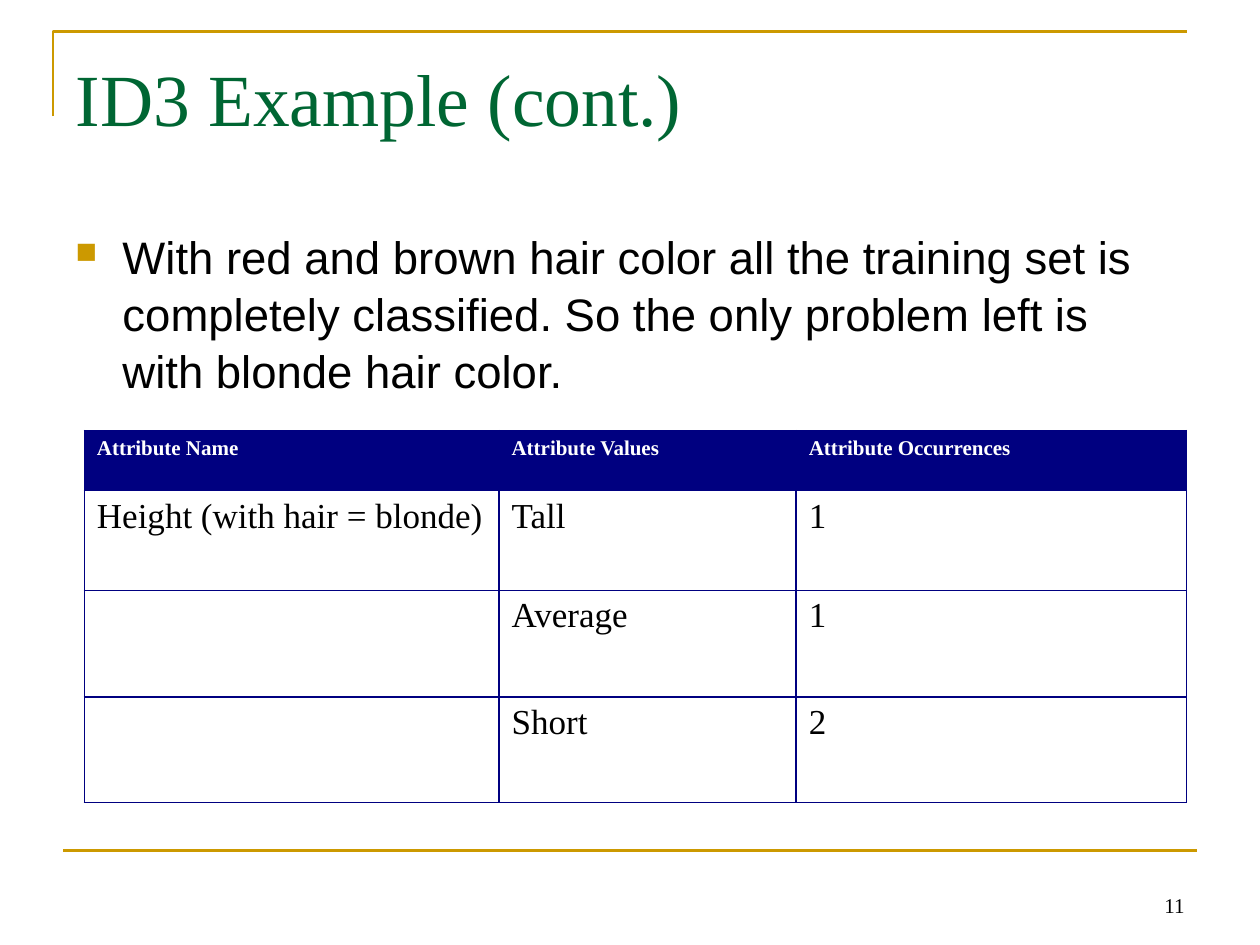
from lxml import etree
from pptx import Presentation
from pptx.dml.color import RGBColor
from pptx.enum.shapes import MSO_CONNECTOR
from pptx.enum.text import MSO_ANCHOR, PP_ALIGN
from pptx.oxml.ns import qn
from pptx.util import Cm, Pt

STRAIGHT = MSO_CONNECTOR.STRAIGHT
TOP, BOTTOM = MSO_ANCHOR.TOP, MSO_ANCHOR.BOTTOM
LEFT, RIGHT, JUSTIFY = PP_ALIGN.LEFT, PP_ALIGN.RIGHT, PP_ALIGN.JUSTIFY
SERIF, SANS = "Times New Roman", "Arial"
COLORS = {"gold": "CC9900", "green": "006633", "navy": "000080",
          "black": "000000", "white": "FFFFFF"}
HANGING = Cm(0.95)


def style(paragraph, font_name, size, color, align, bold=False):
    paragraph.alignment = align
    for run in paragraph.runs:
        run.font.name = font_name
        run.font.size = Pt(size)
        run.font.bold = bold
        run.font.color.rgb = RGBColor.from_string(COLORS[color])


def hang(paragraph):
    """Give the paragraph a hanging indent and return its properties."""
    properties = paragraph._p.get_or_add_pPr()
    properties.set("marL", str(HANGING))
    properties.set("indent", str(-HANGING))
    return properties


prs = Presentation()
prs.slide_width, prs.slide_height = Cm(25.4), Cm(19.05)
slide = prs.slides.add_slide(prs.slide_layouts[5])
shapes = slide.shapes

# Gold corner and footer rule
builder = shapes.build_freeform(Cm(1.07), Cm(2.34))
builder.add_line_segments([(Cm(1.07), Cm(0.64)), (Cm(23.93), Cm(0.64))], close=False)
corner = builder.convert_to_shape()
corner.shadow.inherit = False
corner.fill.background()
footer_rule = shapes.add_connector(STRAIGHT, Cm(1.27), Cm(17.15), Cm(24.13), Cm(17.15))
etree.SubElement(footer_rule._element.spPr, qn("a:effectLst"))
for rule in (corner, footer_rule):
    rule.line.color.rgb = RGBColor.from_string(COLORS["gold"])
    rule.line.width = Pt(1.5)

# Title
title = shapes.title
title.left, title.top, title.width, title.height = Cm(1.27), Cm(0.76), Cm(22.86), Cm(3.18)
title.text_frame.text = "ID3 Example (cont.)"
title.text_frame.vertical_anchor = TOP
title.text_frame.margin_top = Cm(0.3)
style(title.text_frame.paragraphs[0], SERIF, 42, "green", LEFT)

# Bulleted statement
statement = shapes.add_textbox(Cm(1.27), Cm(4.45), Cm(22.66), Cm(5.28)).text_frame
statement.word_wrap = True
statement.text = ("With red and brown hair color all the training set is completely "
                  "classified. So the only problem left is with blonde hair color.")
sentence = statement.paragraphs[0]
properties = hang(sentence)
bullet_color = etree.SubElement(properties, qn("a:buClr"))
etree.SubElement(bullet_color, qn("a:srgbClr"), val=COLORS["gold"])
etree.SubElement(properties, qn("a:buSzPct"), val="65000")
etree.SubElement(properties, qn("a:buChar"), char="■")
sentence.line_spacing = 1.04
style(sentence, SANS, 26, "black", LEFT)

# Attribute table
rows = [
    ("Attribute Name", "Attribute Values", "Attribute Occurrences"),
    ("Height (with hair = blonde)", "Tall", "1"),
    ("", "Average", "1"),
    ("", "Short", "2"),
]
attributes = shapes.add_table(4, 3, Cm(1.7), Cm(8.68), Cm(22.22), Cm(7.5)).table
attributes.first_row = attributes.horz_banding = False
for column, width in zip(attributes.columns, (8.36, 5.99, 7.87)):
    column.width = Cm(width)
for row, height in zip(attributes.rows, (1.21, 2.01, 2.15, 2.13)):
    row.height = Cm(height)
for r, texts in enumerate(rows):
    header = r == 0
    for c, text in enumerate(texts):
        cell = attributes.cell(r, c)
        cell.text = text
        entry = cell.text_frame.paragraphs[0]
        hang(entry)
        style(entry, SERIF, 12 if header else 20, "white" if header else "black",
              JUSTIFY, bold=header)
        for side in ("lnL", "lnR", "lnT", "lnB"):
            border = etree.SubElement(cell._tc.get_or_add_tcPr(), qn(f"a:{side}"),
                                      w=str(Pt(1)))
            border_fill = etree.SubElement(border, qn("a:solidFill"))
            etree.SubElement(border_fill, qn("a:srgbClr"), val=COLORS["navy"])
        if header:
            cell.fill.solid()
            cell.fill.fore_color.rgb = RGBColor.from_string(COLORS["navy"])
        else:
            cell.fill.background()

# Page number
page_number = shapes.add_textbox(Cm(18.2), Cm(17.35), Cm(5.93), Cm(1.27)).text_frame
page_number.word_wrap = True
page_number.vertical_anchor = BOTTOM
page_number.text = "11"
style(page_number.paragraphs[0], SERIF, 12, "black", RIGHT)

prs.save("out.pptx")
